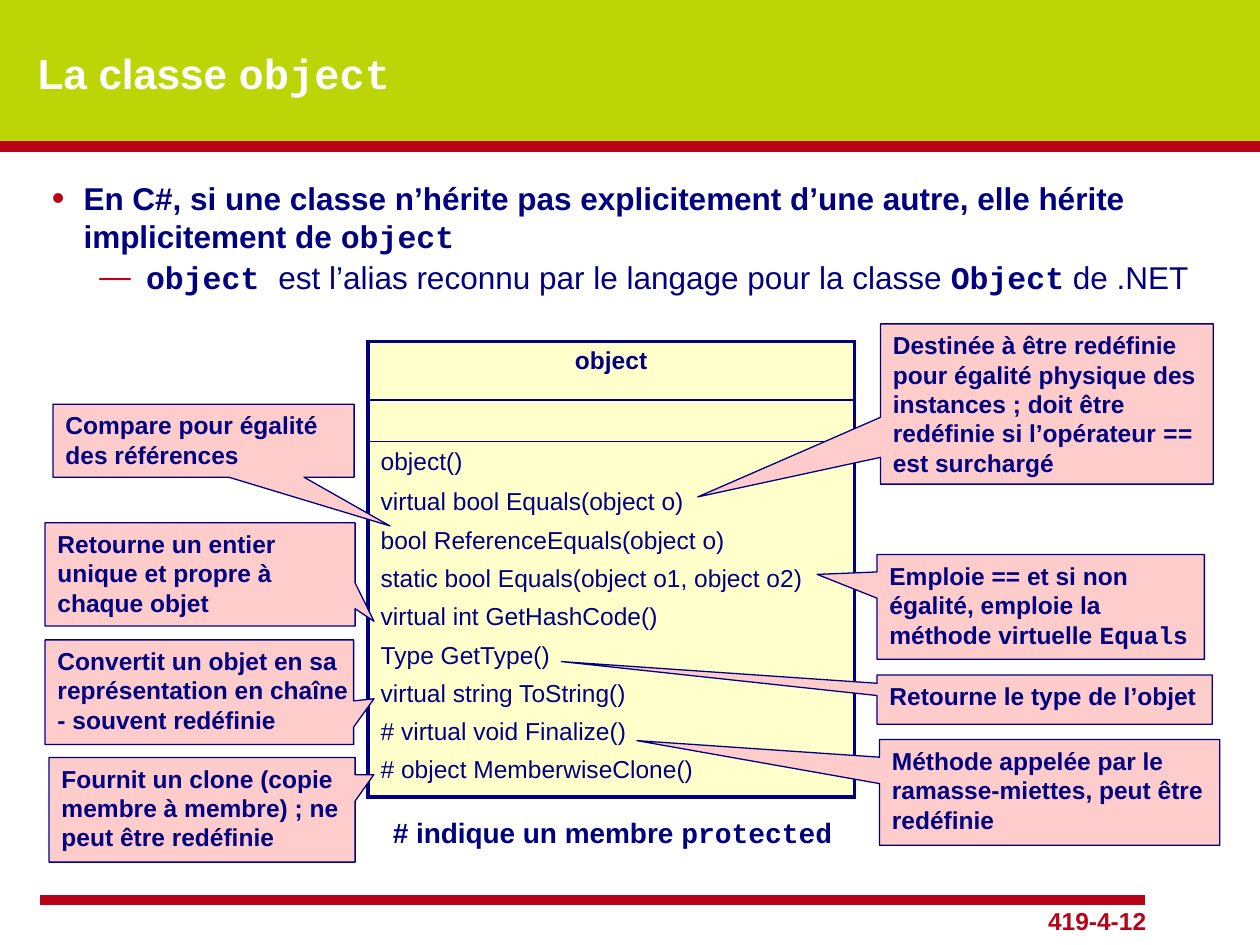
from lxml.etree import SubElement
from pptx import Presentation
from pptx.dml.color import RGBColor
from pptx.enum.shapes import MSO_CONNECTOR, MSO_SHAPE
from pptx.enum.text import MSO_ANCHOR, MSO_AUTO_SIZE, PP_ALIGN
from pptx.oxml.ns import qn
from pptx.util import Cm, Pt

LIME, RED, NAVY, WHITE = "BCD507", "B90117", "000080", "FFFFFF"
CREAM, PINK, BLACK = "FFFFCC", "FFCCCC", "000000"
LABEL = {"size": Pt(14), "bold": True}
MEMBERS = [
    "object()",
    "virtual bool Equals(object o)",
    "bool ReferenceEquals(object o)",
    "static bool Equals(object o1, object o2)",
    "virtual int GetHashCode()",
    "Type GetType()",
    "virtual string ToString()",
    "# virtual void Finalize()",
    "# object MemberwiseClone()",
]
CALLOUTS = [
    ((1.07, 8.15, 6.07, 1.47), (0.619, 1.169), "Compare pour égalité des références"),
    ((17.75, 6.53, 6.71, 3.23), (-1.049, 0.58),
     "Destinée à être redéfinie pour égalité physique des instances ; doit être "
     "redéfinie si l’opérateur `==` est surchargé"),
    ((17.68, 13.61, 6.76, 0.99), (-1.441, -0.775), "Retourne le type de l’objet"),
    ((0.91, 12.9, 6.22, 2.11), (0.566, 0.063),
     "Convertit un objet en sa représentation en chaîne - souvent redéfinie"),
    ((17.73, 14.91, 6.86, 2.13), (-1.213, -0.49),
     "Méthode appelée par le ramasse-miettes, peut être redéfinie"),
    ((0.99, 15.27, 6.17, 2.11), (0.561, -0.335),
     "Fournit un clone (copie membre à membre) ; ne peut être redéfinie"),
    ((0.91, 10.54, 6.25, 2.08), (0.561, 0.455),
     "Retourne un entier unique et propre à chaque objet"),
    ((17.68, 11.18, 6.6, 2.11), (-0.683, -0.31),
     "Emploie == et si non égalité, emploie la méthode virtuelle `Equals`"),
]


def color(value):
    """Turn a hex string into a colour."""
    return RGBColor.from_string(value)


def apply(target, formats):
    """Set every attribute of a format dict on an object."""
    for name, value in formats.items():
        setattr(target, name, value)


def place(shape, box):
    """Move a shape to a box given in centimetres."""
    apply(shape, dict(zip(("left", "top", "width", "height"), map(Cm, box))))


def write(paragraph, text, formats, ink=NAVY):
    """Write text whose backquoted parts are bold code."""
    for index, part in enumerate(text.split("`")):
        if not part:
            continue
        run = paragraph.add_run()
        run.text = part
        apply(run.font, formats)
        run.font.name = "Arial"
        run.font.color.rgb = color(ink)
        if index % 2:
            apply(run.font, {"name": "Courier New", "bold": True})


def add_rule(slide, left, top, width):
    """Draw a thick horizontal red rule."""
    rule = slide.shapes.add_connector(
        MSO_CONNECTOR.STRAIGHT, Cm(left), Cm(top), Cm(left + width), Cm(top))
    rule.line.width = Pt(6)
    rule.line.color.rgb = color(RED)
    SubElement(rule._element.spPr, qn("a:effectLst"))


def add_text(slide, box, text, formats, ink=NAVY, align=PP_ALIGN.LEFT):
    """Add a one-paragraph text box."""
    text_box = slide.shapes.add_textbox(*map(Cm, box))
    text_box.text_frame.word_wrap = True
    paragraph = text_box.text_frame.paragraphs[0]
    paragraph.alignment = align
    write(paragraph, text, formats, ink)


def add_frame(slide, box):
    """Paint the lime header, white page, rules and page number."""
    left, top, width, height = box
    slide.background.fill.solid()
    slide.background.fill.fore_color.rgb = color(LIME)
    page = slide.shapes.add_shape(
        MSO_SHAPE.RECTANGLE, Cm(left), Cm(top + 3.07), Cm(width), Cm(height - 3.07))
    page.shadow.inherit = False
    page.fill.solid()
    page.fill.fore_color.rgb = color(WHITE)
    page.line.fill.background()
    add_rule(slide, left, top + 2.95, width)
    add_rule(slide, left + 0.81, top + 18.14, 22.28)
    add_text(slide, (left + 19.35, top + 18.14, 4.01, 0.84), "419-4-12", LABEL,
             RED, PP_ALIGN.RIGHT)


def fill_title(title, box):
    """Write the title with a text shadow."""
    place(title, box)
    apply(title.text_frame, {"vertical_anchor": MSO_ANCHOR.MIDDLE, "word_wrap": True,
                             "auto_size": MSO_AUTO_SIZE.NONE})
    paragraph = title.text_frame.paragraphs[0]
    paragraph.alignment = PP_ALIGN.LEFT
    write(paragraph, "La classe `object`", {"size": Pt(24), "bold": True}, WHITE)
    for run in paragraph.runs:
        properties = run.font._element
        effects = properties.makeelement(qn("a:effectLst"), {})
        properties.find(qn("a:solidFill")).addnext(effects)
        shadow = SubElement(effects, qn("a:outerShdw"), dist="35921", dir="2700000")
        SubElement(shadow, qn("a:srgbClr"), val=BLACK)


def fill_body(body, box):
    """Write the two-level list."""
    items = [
        ("En C#, si une classe n’hérite pas explicitement d’une autre, elle hérite "
         "implicitement de `object`", 0, True, "•", 115, 0.64, 0.64, 0),
        ("`object `est l’alias reconnu par le langage pour la classe `Object` de .NET",
         1, False, "—", 100, 1.9, 0.94, 2),
    ]
    place(body, box)
    frame = body.text_frame
    frame.auto_size = MSO_AUTO_SIZE.NONE
    for index, (text, level, bold, bullet, scale, margin, hang, before) in enumerate(items):
        paragraph = frame.add_paragraph() if index else frame.paragraphs[0]
        apply(paragraph, {"level": level, "space_before": Pt(before)})
        properties = paragraph._p.get_or_add_pPr()
        properties.set("marL", str(Cm(margin)))
        properties.set("indent", str(-Cm(hang)))
        ink = SubElement(properties, qn("a:buClr"))
        SubElement(ink, qn("a:srgbClr"), val=RED)
        SubElement(properties, qn("a:buSzPct"), val=str(scale * 1000))
        SubElement(properties, qn("a:buFont"), typeface="Arial")
        SubElement(properties, qn("a:buChar"), char=bullet)
        write(paragraph, text, {"size": Pt(18), "bold": bold})


def add_border(cell, side, width):
    """Draw one border of a cell."""
    line = SubElement(cell._tc.get_or_add_tcPr(), qn(f"a:{side}"), w=str(Pt(width)))
    fill = SubElement(line, qn("a:solidFill"))
    SubElement(fill, qn("a:srgbClr"), val=NAVY)


def add_class_table(slide, box):
    """Draw the class diagram: name, fields and members."""
    heights = (1.18, 0.84, box[3] - 2.02)
    table = slide.shapes.add_table(len(heights), 1, *map(Cm, box)).table
    apply(table, {"first_row": False, "horz_banding": False})
    for index, height in enumerate(heights):
        table.rows[index].height = Cm(height)
        cell = table.cell(index, 0)
        top = 1 if index else 2.25
        bottom = 2.25 if index == len(heights) - 1 else 1
        for side, width in (("lnL", 2.25), ("lnR", 2.25), ("lnT", top), ("lnB", bottom)):
            add_border(cell, side, width)
        cell.fill.solid()
        cell.fill.fore_color.rgb = color(CREAM)
    name, fields, members = (table.cell(index, 0) for index in range(3))
    heading = name.text_frame.paragraphs[0]
    heading.alignment = PP_ALIGN.CENTER
    write(heading, "object", LABEL)
    apply(fields, {"margin_top": 0, "margin_bottom": 0})
    for index, member in enumerate(MEMBERS):
        frame = members.text_frame
        paragraph = frame.add_paragraph() if index else frame.paragraphs[0]
        if index:
            apply(paragraph, {"line_spacing": 0.5, "space_before": Pt(14)})
        write(paragraph, member, {"size": Pt(14), "bold": False})


def add_callout(slide, box, tip, text):
    """Add a pink callout whose tip is relative to its centre."""
    callout = slide.shapes.add_shape(MSO_SHAPE.RECTANGULAR_CALLOUT, *map(Cm, box))
    callout.shadow.inherit = False
    callout.adjustments[0], callout.adjustments[1] = tip
    callout.fill.solid()
    callout.fill.fore_color.rgb = color(PINK)
    callout.line.color.rgb = color(NAVY)
    callout.line.width = Pt(0.75)
    apply(callout.text_frame, {"word_wrap": True, "vertical_anchor": MSO_ANCHOR.TOP,
                               "margin_right": Cm(0.05)})
    paragraph = callout.text_frame.paragraphs[0]
    paragraph.alignment = PP_ALIGN.LEFT
    write(paragraph, text, LABEL)


def main():
    """Build and save the slide."""
    presentation = Presentation()
    apply(presentation, {"slide_width": Cm(25.4), "slide_height": Cm(19.05)})
    slide = presentation.slides.add_slide(presentation.slide_layouts[1])
    title, body = slide.placeholders
    add_frame(slide, (0, 0, 25.4, 19.05))
    for placeholder in (body, title):
        slide.shapes._spTree.append(placeholder._element)
    fill_title(title, (0.51, 0.46, 21.64, 2.01))
    fill_body(body, (0.79, 3.48, 23.88, 2.62))
    add_class_table(slide, (7.42, 6.88, 9.8, 9.19))
    for box, tip, text in CALLOUTS:
        add_callout(slide, box, tip, text)
    add_text(slide, (7.67, 16.31, 9.47, 0.94), "# indique un membre `protected`",
             {"size": Pt(16), "bold": True})
    presentation.save("out.pptx")


if __name__ == "__main__":
    main()
